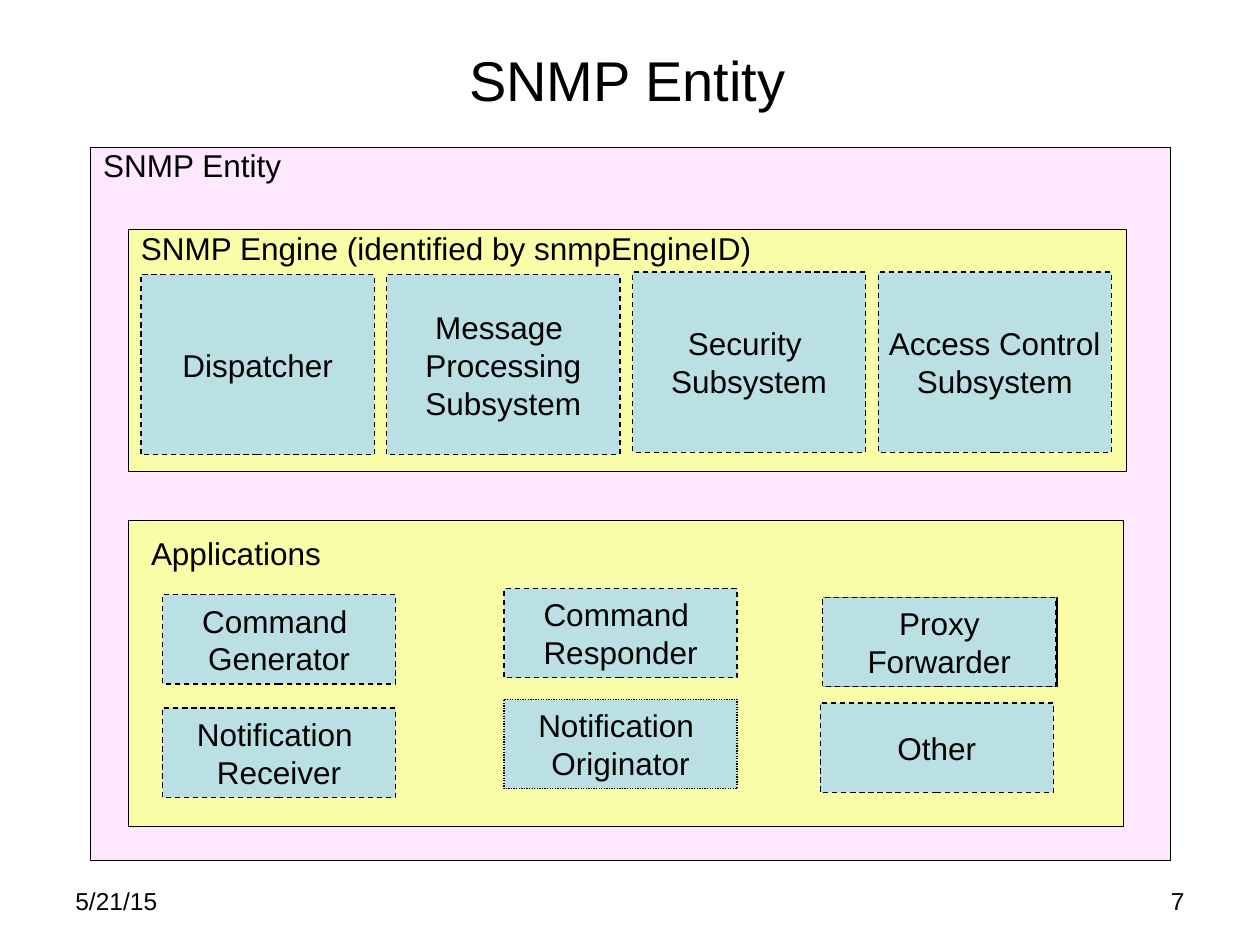
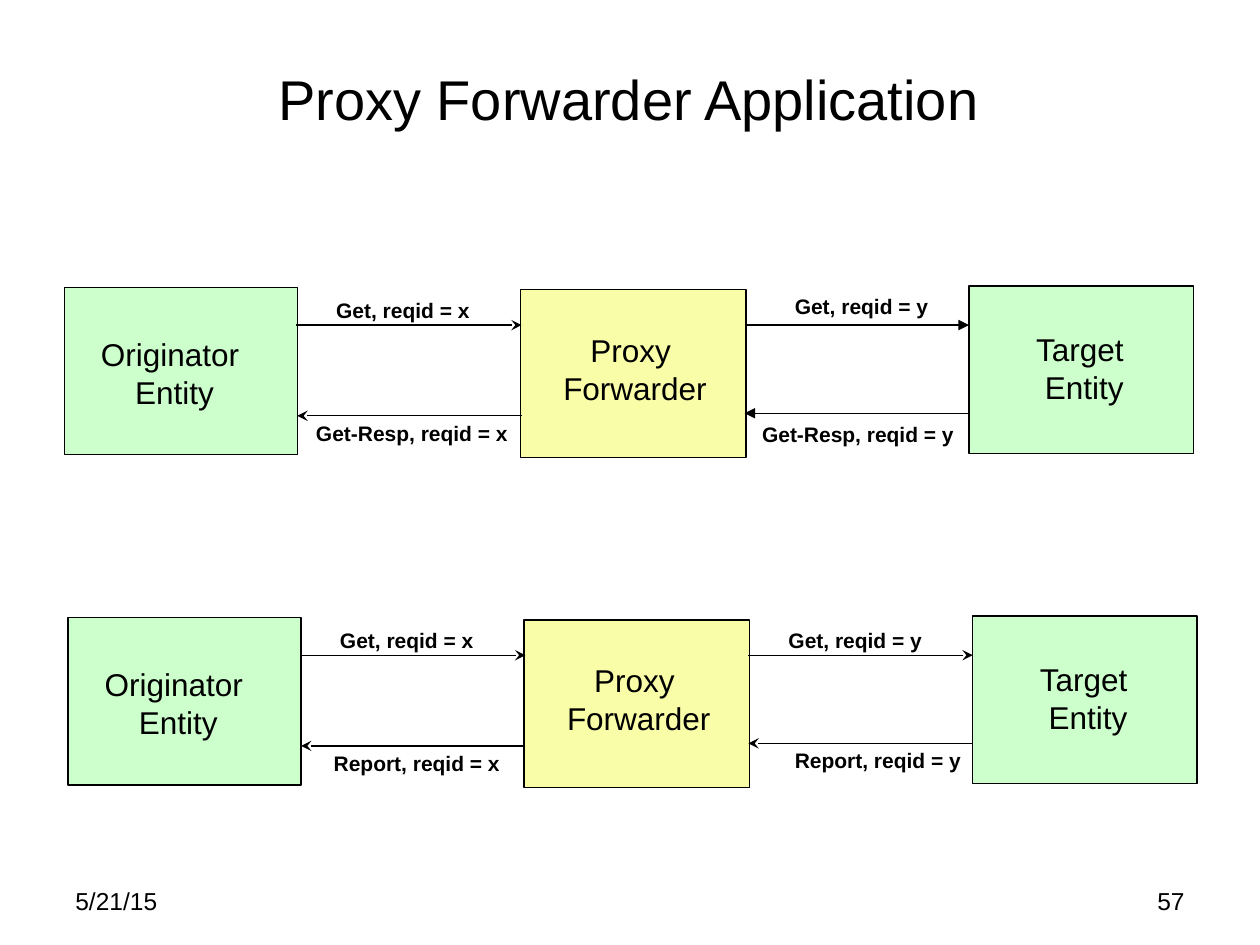
from dataclasses import dataclass

from lxml import etree
from pptx import Presentation
from pptx.dml.color import RGBColor
from pptx.enum.dml import MSO_LINE_DASH_STYLE as DASH
from pptx.enum.shapes import MSO_CONNECTOR as CONNECTOR, MSO_SHAPE as SHAPE
from pptx.enum.text import MSO_ANCHOR as ANCHOR, PP_ALIGN as ALIGN
from pptx.oxml.ns import qn
from pptx.util import Pt

PX = 9144  # 100 px to the inch


@dataclass(frozen=True)
class Theme:
    font: str = "Arial"
    ink: str = "000000"
    entity: str = "FEE8FE"
    group: str = "F9FDA7"
    module: str = "BBE0E3"
    endpoint: str = "CCFFCC"
    title_size: int = 32
    body_size: int = 18
    footer_size: int = 14
    message_size: int = 12
    line_width: float = 0.75


THEME = Theme()


def emu(*lengths):
    return [n * PX for n in lengths]


def rgb(color):
    return RGBColor.from_string(color)


def write(sp, lines, size, align=ALIGN.LEFT, anchor=ANCHOR.TOP, bold=False, wrap=False):
    """Fill a shape with one paragraph for each line."""
    tf = sp.text_frame
    tf.word_wrap = wrap
    tf.vertical_anchor = anchor
    for i, line in enumerate(lines):
        p = tf.paragraphs[0] if i == 0 else tf.add_paragraph()
        p.alignment = align
        r = p.add_run()
        r.text = line
        r.font.name = THEME.font
        r.font.size = Pt(size)
        r.font.bold = bold
        r.font.color.rgb = rgb(THEME.ink)


def add_text(s, box, lines, size=THEME.body_size, **style):
    write(s.shapes.add_textbox(*emu(*box)), lines, size, **style)


def add_box(s, box, fill, lines=(), dash=None):
    sp = s.shapes.add_shape(SHAPE.RECTANGLE, *emu(*box))
    sp.shadow.inherit = False
    sp.fill.solid()
    sp.fill.fore_color.rgb = rgb(fill)
    sp.line.color.rgb = rgb(THEME.ink)
    sp.line.width = Pt(THEME.line_width)
    if dash:
        sp.line.dash_style = dash
    write(sp, lines, THEME.body_size, align=ALIGN.CENTER, anchor=ANCHOR.MIDDLE)


def add_arrow(s, x1, x2, y, head):
    """Draw a level arrow whose head is at x2."""
    cn = s.shapes.add_connector(CONNECTOR.STRAIGHT, *emu(x1, y, x2, y))
    cn.line.color.rgb = rgb(THEME.ink)
    cn.line.width = Pt(THEME.line_width)
    etree.SubElement(cn.line._get_or_add_ln(), qn("a:tailEnd"), type=head)
    etree.SubElement(cn._element.spPr, qn("a:effectLst"))


def add_slide(prs, title, title_at, number):
    """Add a slide with its title, date and number."""
    s = prs.slides.add_slide(prs.slide_layouts[6])
    for left, text, align in ((50, "5/21/15", ALIGN.LEFT), (717, number, ALIGN.RIGHT)):
        add_text(s, (left, 698, 233, 52), [text], THEME.footer_size, align=align, wrap=True)
    add_text(s, (*title_at, 900, 125), [title], THEME.title_size,
             align=ALIGN.CENTER, anchor=ANCHOR.MIDDLE, wrap=True)
    return s


def draw_entity(s):
    add_box(s, (72, 117, 857, 566), THEME.entity)
    add_box(s, (102, 182, 792, 192), THEME.group)
    add_box(s, (102, 413, 790, 243), THEME.group)

    subsystems = [
        (218, ["Dispatcher"]),
        (218, ["Message ", "Processing", "Subsystem"]),
        (216, ["Security ", "Subsystem"]),
        (216, ["Access Control", "Subsystem"]),
    ]
    for i, (top, lines) in enumerate(subsystems):
        add_box(s, (112 + 195 * i, top, 185, 143), THEME.module, lines, DASH.DASH)

    applications = [
        (129, 472, ["Command ", "Generator"], DASH.DASH),
        (400, 467, ["Command ", "Responder"], DASH.DASH),
        (654, 474, [], None),
        (653, 474, ["Proxy", "Forwarder"], DASH.DASH),
        (129, 562, ["Notification ", "Receiver"], DASH.DASH),
        (400, 555, ["Notification ", "Originator"], DASH.ROUND_DOT),
        (651, 558, ["Other"], DASH.DASH),
    ]
    for left, top, lines, dash in applications:
        add_box(s, (left, top, 185, 71), THEME.module, lines, dash)

    add_text(s, (72, 111, 162, 40), ["SNMP Entity"])
    add_text(s, (102, 177, 505, 40), ["SNMP Engine (identified by snmpEngineID)"])
    add_text(s, (110, 419, 155, 40), ["Applications"])


def draw_exchange(s, dx, dy, target_head, messages):
    """Draw originator, proxy and target, shifted by dx and dy, with their messages."""
    parties = [
        ((51, 228, 185, 133), THEME.endpoint, (70, 261, 137, 70), ["Originator ", "Entity"]),
        ((413, 230, 179, 133), THEME.group, (437, 258, 134, 70), ["Proxy ", "Forwarder"]),
        ((769, 227, 178, 133), THEME.endpoint, (811, 257, 99, 70), ["Target ", "Entity"]),
    ]
    arrows = [
        (235, 414, 258, "stealth"),
        (414, 236, 330, "stealth"),
        (591, 769, 258, target_head),
        (769, 591, 328, target_head),
    ]

    def shift(box):
        left, top, width, height = box
        return left + dx, top + dy, width, height

    for box, fill, _, _ in parties:
        add_box(s, shift(box), fill)
    for x1, x2, y, head in arrows:
        add_arrow(s, x1 + dx, x2 + dx, y + dy, head)
    for _, _, name_box, name in parties:
        add_text(s, shift(name_box), name, align=ALIGN.CENTER)
    for left, top, width, text in messages:
        add_text(s, (left, top, width, 30), [text], THEME.message_size, bold=True)


def main():
    prs = Presentation()
    prs.slide_width, prs.slide_height = emu(1000, 750)

    draw_entity(add_slide(prs, "SNMP Entity", (48, 0), "7"))

    s = add_slide(prs, "Proxy Forwarder Application", (49, 15), "57")
    draw_exchange(s, 0, 0, "triangle", [
        (257, 231, 126, "Get, reqid = x"),
        (241, 329, 173, "Get-Resp, reqid = x"),
        (621, 228, 126, "Get, reqid = y"),
        (595, 330, 173, "Get-Resp, reqid = y"),
    ])
    draw_exchange(s, 3, 262, "stealth", [
        (260, 493, 126, "Get, reqid = x"),
        (255, 591, 152, "Report, reqid = x"),
        (616, 493, 126, "Get, reqid = y"),
        (621, 588, 152, "Report, reqid = y"),
    ])

    prs.save("out.pptx")


if __name__ == "__main__":
    main()
